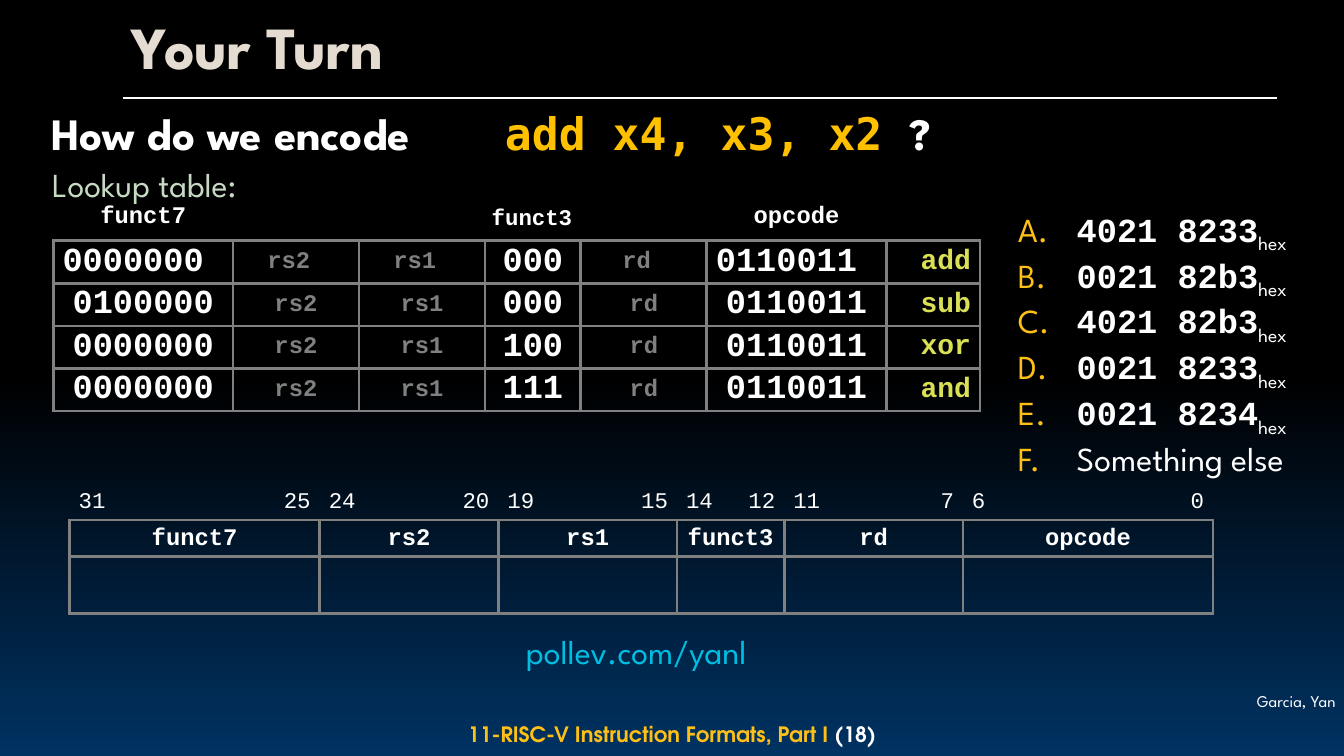
from copy import deepcopy

from pptx import Presentation, util as u
from pptx.dml.color import RGBColor
from pptx.enum import shapes, text
from pptx.oxml import ns, xmlchemy

WIDTH, HEIGHT = u.Inches(13.333), u.Inches(7.5)
BLACK = RGBColor(0x00, 0x00, 0x00)
NAVY = RGBColor(0x00, 0x32, 0x62)
WHITE = RGBColor(0xFF, 0xFF, 0xFF)
GOLD = RGBColor(0xFE, 0xC0, 0x16)
AMBER = RGBColor(0xFF, 0xC0, 0x00)
CREAM = RGBColor(0xE5, 0xDC, 0xD1)
SAGE = RGBColor(0xC6, 0xDA, 0xC3)
CYAN = RGBColor(0x00, 0xBD, 0xE2)
LIME = RGBColor(0xD9, 0xE0, 0x56)
GRAY = RGBColor(0x80, 0x80, 0x80)
SANS, MONO, CODE, FOOTER = "League Spartan", "Courier New", "DejaVu Sans Mono", "TeX Gyre Adventor"
LEFT, CENTER, RIGHT = text.PP_ALIGN.LEFT, text.PP_ALIGN.CENTER, text.PP_ALIGN.RIGHT
TOP, MIDDLE = text.MSO_ANCHOR.TOP, text.MSO_ANCHOR.MIDDLE
NO_STYLE = "{2D5ABB26-0587-4C30-8999-92F81FD0307C}"

INSTRUCTIONS = [
    ("0000000 ", "rs2 ", "rs1 ", "000 ", "rd ", "0110011 ", "add"),
    ("0100000", "rs2", "rs1", "000", "rd", "0110011", "sub"),
    ("0000000", "rs2", "rs1", "100", "rd", "0110011", "xor"),
    ("0000000", "rs2", "rs1", "111", "rd", "0110011", "and"),
]
FIELDS = [("funct7", 7), ("rs2", 5), ("rs1", 5), ("funct3", 3), ("rd", 5), ("opcode", 7)]
ANSWERS = ["4021 8233", "0021 82b3", "4021 82b3", "0021 8233", "0021 8234"]


def across(percent):
    """Return a share of the slide's width."""
    return round(WIDTH * percent / 100)


def down(percent):
    """Return a share of the slide's height."""
    return round(HEIGHT * percent / 100)


def child(parent, tag, **attributes):
    """Append a drawing element with its attributes."""
    element = xmlchemy.OxmlElement(tag)
    for key, value in attributes.items():
        element.set(key, value)
    parent.append(element)
    return element


def write(paragraph, words, font=SANS, size=24, color=WHITE, bold=False, baseline=None):
    """Add formatted words to a paragraph."""
    run = paragraph.add_run()
    run.text = words
    run.font.name, run.font.size, run.font.bold = font, u.Pt(size), bold
    run.font.color.rgb = color
    if baseline:
        run.font._element.set("baseline", str(baseline * 1000))


def text_area(slide, left, top, width, height, wrap=True, anchor=TOP, align=LEFT):
    """Add a text box and return its frame."""
    frame = slide.shapes.add_textbox(across(left), down(top), across(width), down(height)).text_frame
    frame.word_wrap = wrap
    frame.auto_size = text.MSO_AUTO_SIZE.NONE if wrap else text.MSO_AUTO_SIZE.SHAPE_TO_FIT_TEXT
    frame.vertical_anchor = anchor
    frame.paragraphs[0].alignment = align
    return frame


def grid(slide, left, top, columns, rows):
    """Add an unstyled table with the given column and row shares."""
    widths, heights = [across(c) for c in columns], [down(r) for r in rows]
    table = slide.shapes.add_table(len(rows), len(columns), across(left), down(top),
                                   sum(widths), sum(heights)).table
    table.first_row = table.horz_banding = False
    table._tbl.tblPr.find(ns.qn("a:tableStyleId")).text = NO_STYLE
    for column, width in zip(table.columns, widths):
        column.width = width
    for row, height in zip(table.rows, heights):
        row.height = height
    for cell in table.iter_cells():
        cell.fill.background()
        cell.margin_left = cell.margin_right = u.Inches(0.09)
        cell.margin_top = cell.margin_bottom = u.Inches(0.03)
        cell.vertical_anchor = MIDDLE
    return table


def outline(cell, sides="LRTB"):
    """Draw gray borders on the chosen sides of a cell."""
    properties = cell._tc.get_or_add_tcPr()
    for position, side in enumerate(sides):
        line = child(properties, f"a:ln{side}", w=str(u.Pt(2.25)))
        child(child(line, "a:solidFill"), "a:srgbClr", val=str(GRAY))
        properties.insert(position, line)


def fill_cell(cell, words, align=CENTER, spacing=0.8, **style):
    """Write one aligned line in a table cell."""
    paragraph = cell.text_frame.paragraphs[0]
    paragraph.alignment, paragraph.line_spacing = align, spacing
    write(paragraph, words, font=MONO, **style)


def paint_background(slide):
    """Fade the lower half of the slide from black to navy."""
    fill = slide.background.fill
    fill.gradient()
    fill.gradient_angle = 270
    stops = slide._element.find(".//" + ns.qn("a:gsLst"))
    stops.insert(1, deepcopy(stops[0]))
    for stop, position, color in zip(fill.gradient_stops, (0, 0.5, 1), (BLACK, BLACK, NAVY)):
        stop.position, stop.color.rgb = position, color


def heading_rule(slide):
    """Draw the white line below the title."""
    rule = slide.shapes.add_connector(shapes.MSO_CONNECTOR.STRAIGHT, across(9.15), down(12.93),
                                      across(95.03), down(12.93))
    rule.line.color.rgb, rule.line.width = WHITE, u.Pt(1.5)
    child(rule._element.spPr, "a:effectLst")


def lookup_table(slide):
    """Add the table of known instruction encodings."""
    table = grid(slide, 3.98, 26.93, [13.35, 9.38, 9.38, 7.13, 9.38, 13.35, 6.98], [4.93] + [5.63] * 4)
    for index in range(7):
        outline(table.cell(0, index), "B")
    for index, name in ((0, "funct7"), (5, "opcode")):
        table.cell(0, index).vertical_anchor = TOP
        fill_cell(table.cell(0, index), name, size=17, bold=True)
    for row, instruction in enumerate(INSTRUCTIONS, 1):
        for column, word in enumerate(instruction):
            cell = table.cell(row, column)
            outline(cell)
            if column == 6:
                fill_cell(cell, word, align=RIGHT, size=20, color=LIME, bold=True)
            elif word[0] in "01":
                fill_cell(cell, word, size=24, bold=True)
            else:
                fill_cell(cell, word, size=17, color=GRAY, bold=True)


def format_table(slide):
    """Add the bit layout with an empty row for the answer."""
    spans = [[1.5, 1.5] if bits == 3 else [2] + [1] * (bits - 4) + [2] for _, bits in FIELDS]
    table = grid(slide, 5.18, 63.87, [2.66 * bits for span in spans for bits in span], [4.93, 4.8, 7.53])
    first, high = 0, 31
    for (name, bits), span in zip(FIELDS, spans):
        last = first + len(span) - 1
        fill_cell(table.cell(0, first), str(high), align=LEFT, spacing=0.9, size=16)
        fill_cell(table.cell(0, last), str(high - bits + 1), align=RIGHT, spacing=0.9, size=16)
        for row in (1, 2):
            for column in range(first, last + 1):
                outline(table.cell(row, column))
            table.cell(row, first).merge(table.cell(row, last))
        fill_cell(table.cell(1, first), name, spacing=0.9, size=17, bold=True)
        first, high = last + 1, high - bits


def answer_list(slide):
    """Add the lettered answers."""
    frame = text_area(slide, 74.93, 26.93, 22.8, 33.6, wrap=False)
    for index, answer in enumerate(ANSWERS + [None]):
        paragraph = frame.paragraphs[0] if index == 0 else frame.add_paragraph()
        properties = paragraph._p.get_or_add_pPr()
        properties.set("marL", str(u.Inches(0.51)))
        properties.set("indent", str(u.Inches(-0.5)))
        child(child(properties, "a:buClr"), "a:srgbClr", val=str(GOLD))
        child(properties, "a:buFont", typeface=SANS)
        child(properties, "a:buAutoNum", type="alphaUcPeriod")
        if answer:
            write(paragraph, " ")
            write(paragraph, answer, font=MONO, bold=True)
            write(paragraph, "hex", baseline=-25)
        else:
            write(paragraph, " Something else")


def main():
    """Build and save the slide."""
    deck = Presentation()
    deck.slide_width, deck.slide_height = WIDTH, HEIGHT
    slide = deck.slides.add_slide(deck.slide_layouts[6])
    paint_background(slide)

    credit = text_area(slide, 89.18, 91.07, 10.8, 3.47, align=RIGHT)
    credit.margin_left = credit.margin_right = u.Inches(0.08)
    credit.margin_top = credit.margin_bottom = u.Inches(0.03)
    write(credit.paragraphs[0], "Garcia, Yan", size=11.7)
    footer = text_area(slide, 18.38, 94.93, 63.24, 4.27, anchor=MIDDLE, align=CENTER).paragraphs[0]
    write(footer, "11-RISC-V Instruction Formats, Part I ", font=FOOTER, size=15.1, color=GOLD, bold=True)
    write(footer, "(18)", font=FOOTER, size=15.1, bold=True)
    heading_rule(slide)

    title = text_area(slide, 9.08, 1.07, 86.18, 11.2, anchor=MIDDLE).paragraphs[0]
    title.line_spacing = 0.9
    write(title, "Your Turn", size=42.7, color=CREAM, bold=True)
    question = text_area(slide, 2.4, 13.33, 92.93, 11.2).paragraphs[0]
    question._p.get_or_add_pPr().set("marL", str(u.Inches(0.09)))
    write(question, "How do we encode\t\t", size=32, bold=True)
    write(question, "add x4, x3, x2 ", font=CODE, size=32, color=AMBER, bold=True)
    write(question, "?", size=32, bold=True)

    answer_list(slide)
    lookup_table(slide)
    write(text_area(slide, 3.15, 21.07, 15.68, 6.67, wrap=False).paragraphs[0], "Lookup table:", color=SAGE)
    format_table(slide)
    write(text_area(slide, 38.4, 82.8, 18.75, 6.67, wrap=False).paragraphs[0], "pollev.com/yanl", color=CYAN)
    write(text_area(slide, 35.85, 26.27, 7.58, 4.93, wrap=False).paragraphs[0], "funct3",
          font=MONO, size=16, bold=True)
    deck.save("out.pptx")


if __name__ == "__main__":
    main()
